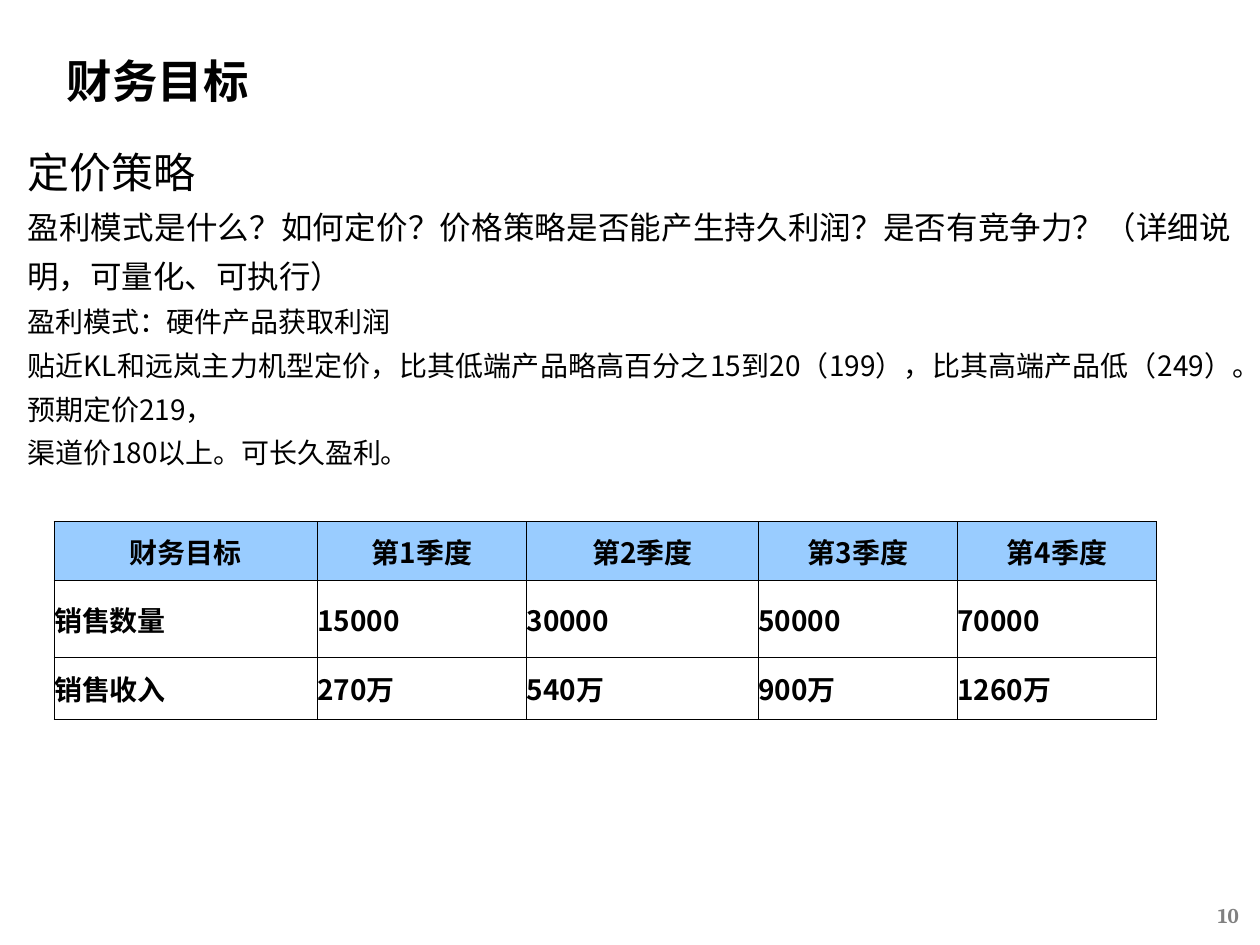
from lxml.etree import SubElement
from pptx import Presentation
from pptx.dml.color import RGBColor
from pptx.enum.text import MSO_ANCHOR, PP_ALIGN
from pptx.oxml import parse_xml
from pptx.oxml.ns import nsdecls, qn
from pptx.util import Inches, Pt

# Content
TITLE = "财务目标"
PAGE_NUMBER = "10"
PRICING = [
    ("定价策略", 24),
    ("盈利模式是什么？如何定价？价格策略是否能产生持久利润？是否有竞争力？（详细说明，可量化、可执行）", 18),
    ("盈利模式：硬件产品获取利润", 16),
    ("贴近KL和远岚主力机型定价，比其低端产品略高百分之15到20（199），比其高端产品低（249）。预期定价219，", 16),
    ("渠道价180以上。可长久盈利。", 16),
]
TARGETS = [
    ["财务目标", "第1季度", "第2季度", "第3季度", "第4季度"],
    ["销售数量", "15000", "30000", "50000", "70000"],
    ["销售收入", "270万", "540万", "900万", "1260万"],
]

# Layout in inches
MARGIN = 0.43
COLUMN_WIDTHS = [2.09, 1.66, 1.84, 1.58, 1.58]
ROW_HEIGHTS = [0.47, 0.61, 0.49]
TABLE_TOP = 4.14
BODY_FONT = "Noto Sans CJK SC"
BLACK, WHITE, GREY, HEADER_BLUE = "000000", "FFFFFF", "808080", "99CCFF"


def color(value):
    return RGBColor.from_string(value)


def write(paragraph, text, size, font=BODY_FONT, ink=BLACK, bold=False, align=PP_ALIGN.LEFT):
    paragraph.text = text
    paragraph.alignment = align
    run = paragraph.runs[0]
    run.font.size, run.font.bold, run.font.name = Pt(size), bold, font
    run.font.color.rgb = color(ink)
    SubElement(run.font._element, qn("a:ea")).set("typeface", BODY_FONT)


def add_text_box(slide, left, top, width, height, anchor=MSO_ANCHOR.MIDDLE):
    box = slide.shapes.add_textbox(*map(Inches, (left, top, width, height)))
    box.text_frame.word_wrap = True
    box.text_frame.vertical_anchor = anchor
    return box.text_frame


def add_borders(cell):
    properties = cell._tc.get_or_add_tcPr()
    for index, side in enumerate(("lnL", "lnR", "lnT", "lnB")):
        properties.insert(index, parse_xml(
            f'<a:{side} {nsdecls("a")} w="{Pt(0.75)}"><a:solidFill>'
            f'<a:srgbClr val="{BLACK}"/></a:solidFill></a:{side}>'))


def add_target_table(slide):
    frame = slide.shapes.add_table(
        len(TARGETS), len(COLUMN_WIDTHS), Inches(MARGIN), Inches(TABLE_TOP),
        Inches(sum(COLUMN_WIDTHS)), Inches(sum(ROW_HEIGHTS)))
    table = frame.table
    for column, width in zip(table.columns, COLUMN_WIDTHS):
        column.width = Inches(width)
    for row_index, (values, height) in enumerate(zip(TARGETS, ROW_HEIGHTS)):
        table.rows[row_index].height = Inches(height)
        is_header = row_index == 0
        for column_index, value in enumerate(values):
            cell = table.cell(row_index, column_index)
            cell.margin_left = cell.margin_right = cell.margin_top = cell.margin_bottom = 0
            cell.vertical_anchor = MSO_ANCHOR.MIDDLE
            cell.fill.solid()
            cell.fill.fore_color.rgb = color(HEADER_BLUE if is_header else WHITE)
            add_borders(cell)
            paragraph = cell.text_frame.paragraphs[0]
            write(paragraph, value, 16, bold=True,
                  align=PP_ALIGN.CENTER if is_header else PP_ALIGN.LEFT)
            paragraph.space_before = Pt(3.2)


def main():
    presentation = Presentation()
    presentation.slide_width, presentation.slide_height = Inches(10), Inches(7.5)
    slide = presentation.slides.add_slide(presentation.slide_layouts[6])

    # Quarterly targets
    add_target_table(slide)

    # Title and page number
    title = add_text_box(slide, MARGIN, 0.36, 7.48, 0.55)
    write(title.paragraphs[0], TITLE, 26, font="Arial", bold=True)
    number = add_text_box(slide, 7.6, 7.06, 2.33, 0.4)
    write(number.paragraphs[0], PAGE_NUMBER, 12, font="Cambria", ink=GREY,
          bold=True, align=PP_ALIGN.RIGHT)

    # Pricing strategy
    body = add_text_box(slide, 0.12, 0.99, 9.76, 2.81, MSO_ANCHOR.TOP)
    for index, (text, size) in enumerate(PRICING):
        paragraph = body.add_paragraph() if index else body.paragraphs[0]
        write(paragraph, text, size, align=PP_ALIGN.JUSTIFY)
        paragraph.line_spacing = 1.3

    presentation.save("out.pptx")


if __name__ == "__main__":
    main()
